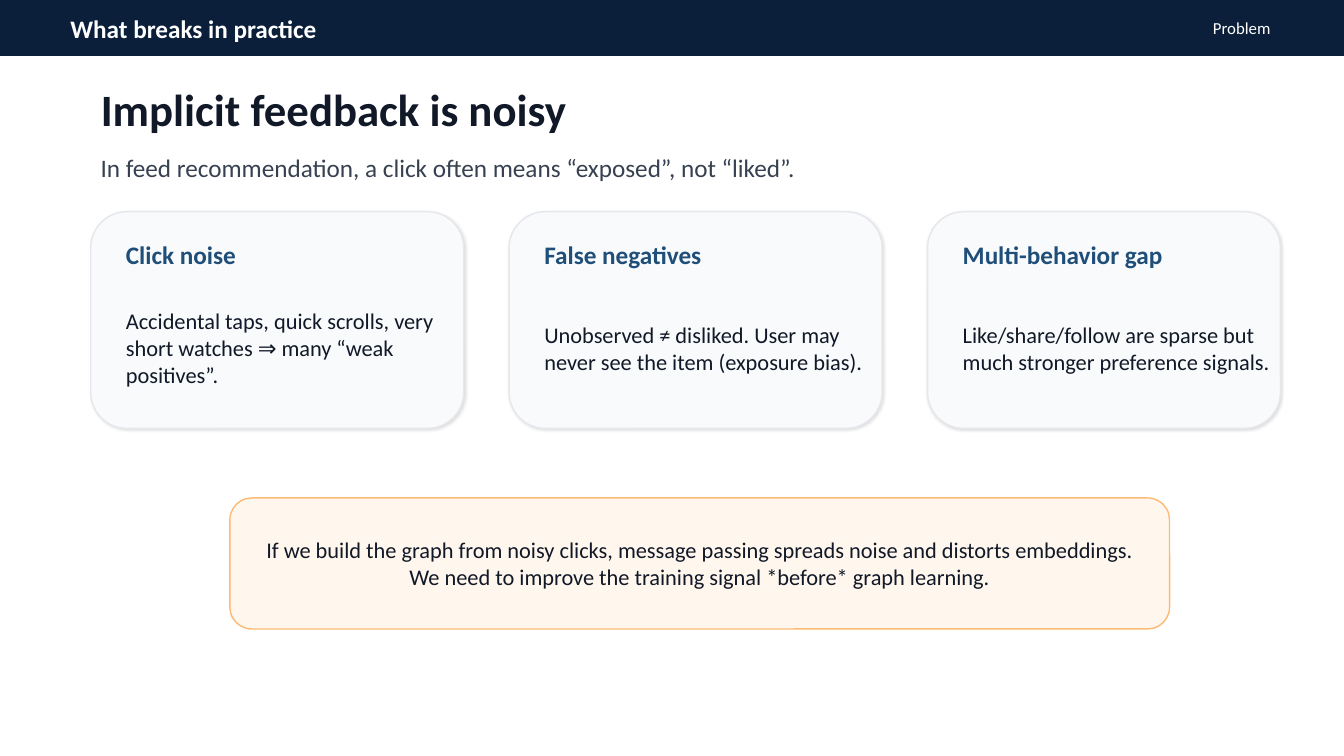
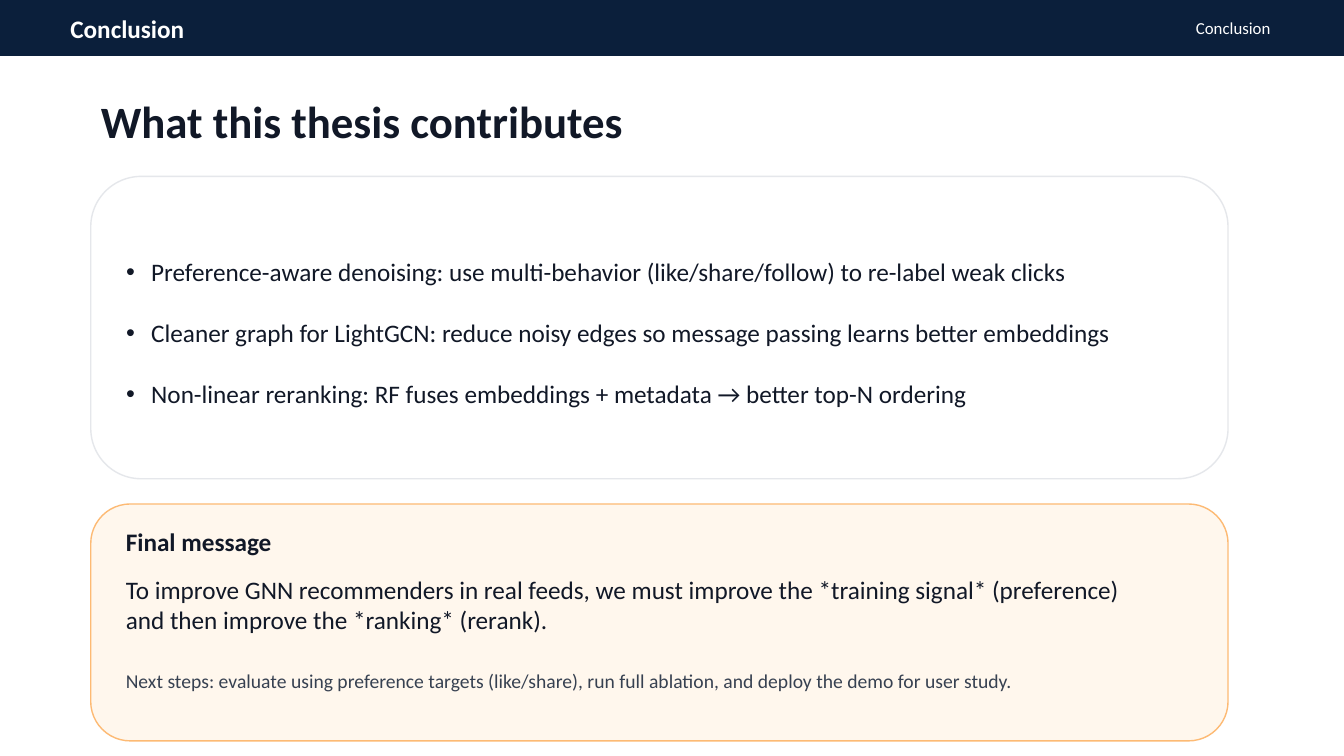
from dataclasses import dataclass

from lxml import etree
from pptx import Presentation
from pptx.dml.color import RGBColor
from pptx.enum.shapes import MSO_SHAPE
from pptx.enum.text import MSO_ANCHOR, MSO_AUTO_SIZE, PP_ALIGN
from pptx.oxml.ns import qn
from pptx.util import Pt

RECT = MSO_SHAPE.RECTANGLE
ROUNDED = MSO_SHAPE.ROUNDED_RECTANGLE
MIDDLE = MSO_ANCHOR.MIDDLE
NO_AUTOFIT = MSO_AUTO_SIZE.NONE
LEFT, CENTER, RIGHT = PP_ALIGN.LEFT, PP_ALIGN.CENTER, PP_ALIGN.RIGHT

EMU_PER_PX = 9144  # 100 px to the inch
SLIDE_WIDTH, SLIDE_HEIGHT = 1333, 750
TITLE_AND_CONTENT, TITLE_ONLY = 1, 5


def px(length):
    return length * EMU_PER_PX


@dataclass(frozen=True)
class Theme:
    font: str = "Calibri"
    navy: str = "0B1F3B"
    blue: str = "1F4E79"
    ink: str = "111827"
    muted: str = "374151"
    white: str = "FFFFFF"
    card_fill: str = "F8FAFC"
    card_line: str = "E5E7EB"
    accent_fill: str = "FFF7ED"
    accent_line: str = "FDBA74"
    title: int = 32
    lead: int = 18
    body: int = 16
    note: int = 14
    tag: int = 12
    line_width: int = 1
    bullet_gap: int = 22
    bullet_indent: int = 25


class Deck:
    def __init__(self, theme):
        self.theme = theme
        self.presentation = Presentation()
        self.presentation.slide_width = px(SLIDE_WIDTH)
        self.presentation.slide_height = px(SLIDE_HEIGHT)
        self.slide = None

    def new_slide(self, layout, section, tag):
        """Start a slide with the header band that all slides share."""
        t = self.theme
        self.slide = self.presentation.slides.add_slide(
            self.presentation.slide_layouts[layout])
        self.box(0, 0, SLIDE_WIDTH, 55, t.navy, t.navy, RECT)
        self.text(60, 12, 1100, 32, section, t.lead, t.white, bold=True)
        self.text(1170, 14, 100, 28, tag, t.tag, t.white, align=RIGHT)

    def box(self, left, top, width, height, fill, line, outline=ROUNDED):
        shape = self.slide.shapes.add_shape(
            outline, px(left), px(top), px(width), px(height))
        shape.fill.solid()
        shape.fill.fore_color.rgb = RGBColor.from_string(fill)
        shape.line.color.rgb = RGBColor.from_string(line)
        shape.line.width = Pt(self.theme.line_width)
        shape.shadow.inherit = False
        return shape

    def soft_shadow(self, shape):
        effects = shape.element.spPr.find(qn("a:effectLst"))
        shadow = etree.SubElement(
            effects, qn("a:outerShdw"), blurRad=str(Pt(2)), dist=str(Pt(1)),
            dir="2700000", algn="tl", rotWithShape="0")
        color = etree.SubElement(shadow, qn("a:srgbClr"), val="000000")
        etree.SubElement(color, qn("a:alpha"), val="12000")

    def fill_frame(self, frame, text, size, color, bold=False, align=LEFT):
        """Fill a text frame, one paragraph per line, in a single style."""
        frame.word_wrap = True
        frame.auto_size = NO_AUTOFIT
        frame.vertical_anchor = MIDDLE
        frame.text = text
        for paragraph in frame.paragraphs:
            paragraph.alignment = align
            for run in paragraph.runs:
                run.font.name = self.theme.font
                run.font.size = Pt(size)
                run.font.bold = bold
                run.font.color.rgb = RGBColor.from_string(color)

    def text(self, left, top, width, height, text, size, color, **style):
        text_box = self.slide.shapes.add_textbox(
            px(left), px(top), px(width), px(height))
        self.fill_frame(text_box.text_frame, text, size, color, **style)

    def place(self, placeholder, left, top, width, height):
        """Move a placeholder and bring it to the front."""
        placeholder.left, placeholder.top = px(left), px(top)
        placeholder.width, placeholder.height = px(width), px(height)
        self.slide.shapes.element.append(placeholder.element)

    def title(self, top, width, height, text):
        heading = self.slide.shapes.title
        self.place(heading, 90, top, width, height)
        self.fill_frame(heading.text_frame, text, self.theme.title,
                        self.theme.ink, bold=True)

    def bullets(self, left, top, width, height, items):
        t = self.theme
        content = self.slide.placeholders[1]
        self.place(content, left, top, width, height)
        self.fill_frame(content.text_frame, "\n".join(items), t.lead, t.ink)
        for index, paragraph in enumerate(content.text_frame.paragraphs):
            paragraph.space_before = Pt(t.bullet_gap if index else 0)
            properties = paragraph._p.get_or_add_pPr()
            properties.set("marL", str(px(t.bullet_indent)))
            properties.set("indent", str(-px(t.bullet_indent)))
            etree.SubElement(properties, qn("a:buChar"), char="•")

    def card(self, left, width, heading, detail):
        t = self.theme
        self.soft_shadow(
            self.box(left, 210, width, 215, t.card_fill, t.card_line))
        self.text(left + 25, 235, 345, 35, heading, t.lead, t.blue, bold=True)
        self.text(left + 25, 280, 345, 130, detail, t.body, t.ink)

    def callout(self, left, top, width, height):
        self.box(left, top, width, height,
                 self.theme.accent_fill, self.theme.accent_line)


def build_problem(deck):
    t = deck.theme
    deck.new_slide(TITLE_ONLY, "What breaks in practice", "Problem")
    deck.title(85, 1200, 45, "Implicit feedback is noisy")
    deck.text(90, 149, 1200, 35,
              "In feed recommendation, a click often means “exposed”, not “liked”.",
              t.lead, t.muted)
    issues = [
        (370, "Click noise",
         "Accidental taps, quick scrolls, very short watches ⇒ many “weak positives”."),
        (370, "False negatives",
         "Unobserved ≠ disliked. User may never see the item (exposure bias)."),
        (350, "Multi-behavior gap",
         "Like/share/follow are sparse but much stronger preference signals."),
    ]
    for column, (width, heading, detail) in enumerate(issues):
        deck.card(90 + 415 * column, width, heading, detail)
    deck.callout(228, 494, 932, 130)
    deck.text(250, 499, 888, 120,
              "If we build the graph from noisy clicks, message passing spreads "
              "noise and distorts embeddings.\n"
              "We need to improve the training signal *before* graph learning.",
              t.body, t.ink, align=CENTER)


def build_conclusion(deck):
    t = deck.theme
    deck.new_slide(TITLE_AND_CONTENT, "Conclusion", "Conclusion")
    deck.title(90, 1240, 60, "What this thesis contributes")
    deck.box(90, 175, 1128, 300, t.white, t.card_line)
    deck.bullets(115, 205, 1006, 250, [
        "Preference-aware denoising: use multi-behavior (like/share/follow) "
        "to re-label weak clicks",
        "Cleaner graph for LightGCN: reduce noisy edges so message passing "
        "learns better embeddings",
        "Non-linear reranking: RF fuses embeddings + metadata → better top-N ordering",
    ])
    deck.callout(90, 500, 1128, 235)
    deck.text(115, 520, 1200, 35, "Final message", t.lead, t.ink, bold=True)
    deck.text(115, 560, 1045, 80,
              "To improve GNN recommenders in real feeds, we must improve the "
              "*training signal* (preference) and then improve the *ranking* (rerank).",
              t.lead, t.ink)
    deck.text(115, 645, 1006, 60,
              "Next steps: evaluate using preference targets (like/share), run "
              "full ablation, and deploy the demo for user study.",
              t.note, t.muted)


def main():
    deck = Deck(Theme())
    build_problem(deck)
    build_conclusion(deck)
    deck.presentation.save("out.pptx")


if __name__ == "__main__":
    main()
